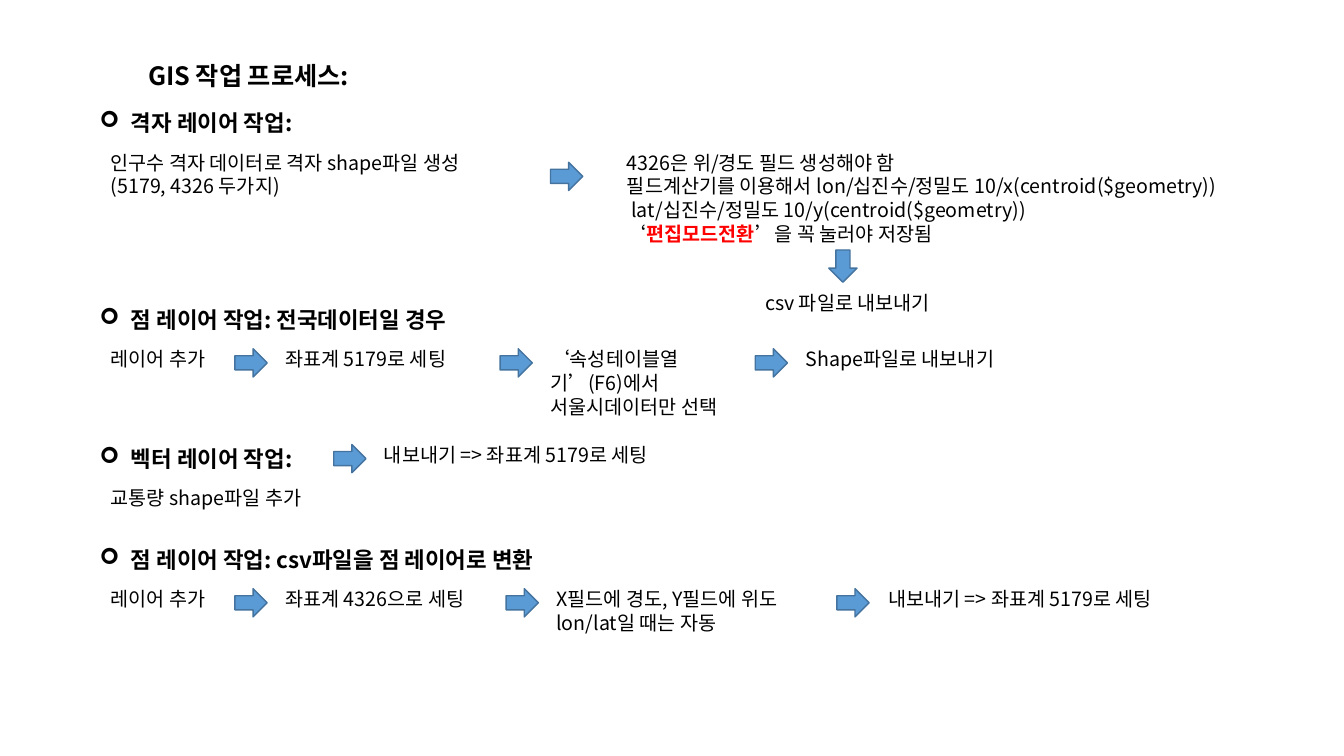
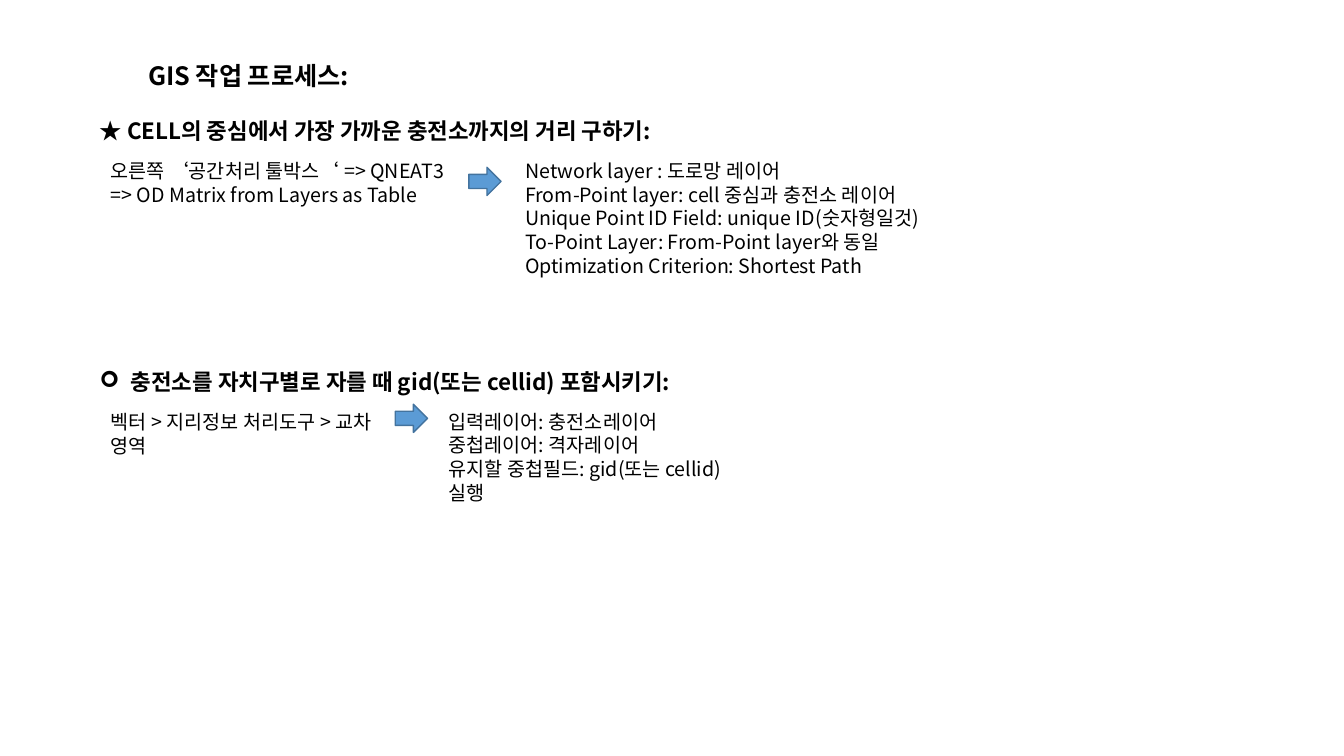
import pptx
import pptx.util
import pptx.dml.color
import pptx.enum.shapes
import pptx.enum.text
import pptx.oxml.ns
import lxml.etree
from dataclasses import dataclass
from typing import Optional

Inches = pptx.util.Inches
Pt = pptx.util.Pt

FONT = "Noto Sans CJK KR"
COLORS = {"text": "000000", "emphasis": "FF0000", "arrow": "5B9BD5", "outline": "43739E"}
TITLE = "GIS 작업 프로세스:"
EMPHASIS = "편집모드전환"
TITLE_SIZE, HEADING_SIZE, STEP_SIZE = 18, 16, 14
HEADING_LEFT, FIRST_STEP_LEFT = 0.89, 1
STEP_DROP, ARROW_DROP = 0.41, 0.07
ARROW_WIDTH, ARROW_HEIGHT = 0.32, 0.28
LINE_FACTOR = 1.22


@dataclass
class Step:
    left: float
    width: float
    lines: list
    rows: int = 1
    wrap: bool = False
    drop: float = STEP_DROP             # below the heading
    arrow: Optional[float] = None       # left edge of the arrow leading here
    arrow_drop: float = ARROW_DROP      # below the top of the step
    arrow_turn: int = 0


@dataclass
class Section:
    top: float
    width: float
    heading: str
    steps: list
    bullet: bool = True


# Content
SLIDES = [
    [
        Section(1.03, 2.31, "격자 레이어 작업:", [
            Step(FIRST_STEP_LEFT, 4.01, ["인구수 격자 데이터로 격자 shape파일 생성", "(5179, 4326 두가지)"], 2),
            Step(6.12, 6.31, ["4326은 위/경도 필드 생성해야 함",
                              "필드계산기를 이용해서 lon/십진수/정밀도 10/x(centroid($geometry))",
                              " lat/십진수/정밀도 10/y(centroid($geometry))",
                              "‘편집모드전환’을 꼭 눌러야 저장됨"], 4, arrow=5.46, arrow_drop=0.17),
            Step(7.49, 2.02, ["csv 파일로 내보내기"], drop=1.8,
                 arrow=8.2, arrow_drop=-0.33, arrow_turn=90),
        ]),
        Section(2.98, 4.03, "점 레이어 작업: 전국데이터일 경우", [
            Step(FIRST_STEP_LEFT, 1.25, ["레이어 추가"]),
            Step(2.73, 1.95, ["좌표계 5179로 세팅"], arrow=2.33),
            Step(5.36, 2.14, ["‘속성테이블열기’(F6)에서 서울시데이터만 선택"], 3, True, arrow=4.96),
            Step(7.89, 2.14, ["Shape파일로 내보내기"], 1, True, arrow=7.49),
        ]),
        Section(4.36, 2.31, "벡터 레이어 작업:", [
            Step(FIRST_STEP_LEFT, 2.24, ["교통량 shape파일 추가"]),
            Step(3.71, 3.15, ["내보내기 => 좌표계 5179로 세팅"], drop=-0.02, arrow=3.31),
        ]),
        Section(5.36, 4.97, "점 레이어 작업: csv파일을 점 레이어로 변환", [
            Step(FIRST_STEP_LEFT, 1.25, ["레이어 추가"]),
            Step(2.73, 2.15, ["좌표계 4326으로 세팅"], arrow=2.33),
            Step(5.42, 2.65, ["X필드에 경도, Y필드에 위도 lon/lat일 때는 자동"], 2, True, arrow=5.02),
            Step(8.71, 3.2, ["내보내기 => 좌표계 5179로 세팅"], 1, True, arrow=8.3),
        ]),
    ],
    [
        Section(1.11, 6.25, "★ CELL의 중심에서 가장 가까운 충전소까지의 거리 구하기:", [
            Step(FIRST_STEP_LEFT, 3.73,
                 ["오른쪽 ‘공간처리 툴박스‘ => QNEAT3 => OD Matrix from Layers as Table"], 2, True),
            Step(5.11, 4.32, ["Network layer : 도로망 레이어",
                              "From-Point layer: cell 중심과 충전소 레이어",
                              "Unique Point ID Field: unique ID(숫자형일것)",
                              "To-Point Layer: From-Point layer와 동일",
                              "Optimization Criterion: Shortest Path"], 5, True,
                 arrow=4.65, arrow_drop=0.14),
        ], bullet=False),
        Section(3.6, 6.31, "충전소를 자치구별로 자를 때 gid(또는 cellid) 포함시키기:", [
            Step(FIRST_STEP_LEFT, 2.79, ["벡터 > 지리정보 처리도구 > 교차 영역"], 2, True),
            Step(4.35, 3.29, ["입력레이어: 충전소레이어", "중첩레이어: 격자레이어",
                              "유지할 중첩필드: gid(또는 cellid)", "실행"], 4, True,
                 arrow=3.92, arrow_drop=0),
        ]),
    ],
]


def rgb(name):
    return pptx.dml.color.RGBColor.from_string(COLORS[name])


def format_run(run, size, bold, color="text"):
    run.font.name = FONT
    run.font.size = Pt(size)
    run.font.bold = bold
    run.font.color.rgb = rgb(color)
    east_asian = lxml.etree.SubElement(run.font._element, pptx.oxml.ns.qn("a:ea"))
    east_asian.set("typeface", FONT)


def add_bullet(paragraph):
    properties = paragraph._p.get_or_add_pPr()
    indent = Inches(0.31)
    properties.set("marL", str(indent))
    properties.set("indent", str(-indent))
    bullet_font = lxml.etree.SubElement(properties, pptx.oxml.ns.qn("a:buFont"))
    bullet_font.set("typeface", "Wingdings")
    bullet = lxml.etree.SubElement(properties, pptx.oxml.ns.qn("a:buChar"))
    bullet.set("char", "➢")


def add_text(slide, left, top, width, lines, size, bold=False, rows=1, wrap=False, bullet=False):
    line_height = size * LINE_FACTOR
    height = 0.1 + rows * line_height / 72
    box = slide.shapes.add_textbox(Inches(left), Inches(top), Inches(width), Inches(height))
    frame = box.text_frame
    frame.word_wrap = wrap
    frame.auto_size = pptx.enum.text.MSO_AUTO_SIZE.SHAPE_TO_FIT_TEXT
    frame.text = "\n".join(lines)
    for paragraph in frame.paragraphs:
        paragraph.line_spacing = Pt(line_height)
        if bullet:
            add_bullet(paragraph)
        before, found, after = paragraph.text.partition(EMPHASIS)
        paragraph.runs[0].text = before
        format_run(paragraph.runs[0], size, bold)
        if found:
            for part, strong, color in ((found, True, "emphasis"), (after, bold, "text")):
                run = paragraph.add_run()
                run.text = part
                format_run(run, size, strong, color)


def add_arrow(slide, left, top, turn):
    arrow = slide.shapes.add_shape(pptx.enum.shapes.MSO_SHAPE.RIGHT_ARROW, Inches(left),
                                   Inches(top), Inches(ARROW_WIDTH), Inches(ARROW_HEIGHT))
    arrow.rotation = turn
    arrow.shadow.inherit = False
    arrow.fill.solid()
    arrow.fill.fore_color.rgb = rgb("arrow")
    arrow.line.color.rgb = rgb("outline")
    arrow.line.width = Pt(1)


presentation = pptx.Presentation()
presentation.slide_width = Inches(13.33)
presentation.slide_height = Inches(7.5)

for sections in SLIDES:
    slide = presentation.slides.add_slide(presentation.slide_layouts[6])
    add_text(slide, 1.37, 0.54, 2.56, [TITLE], TITLE_SIZE, bold=True)
    for section in sections:
        add_text(slide, HEADING_LEFT, section.top, section.width, [section.heading],
                 HEADING_SIZE, bold=True, bullet=section.bullet)
        # Steps, each with the arrow that leads to it
        for step in section.steps:
            top = section.top + step.drop
            add_text(slide, step.left, top, step.width, step.lines, STEP_SIZE,
                     rows=step.rows, wrap=step.wrap)
            if step.arrow is not None:
                add_arrow(slide, step.arrow, top + step.arrow_drop, step.arrow_turn)

presentation.save("out.pptx")
